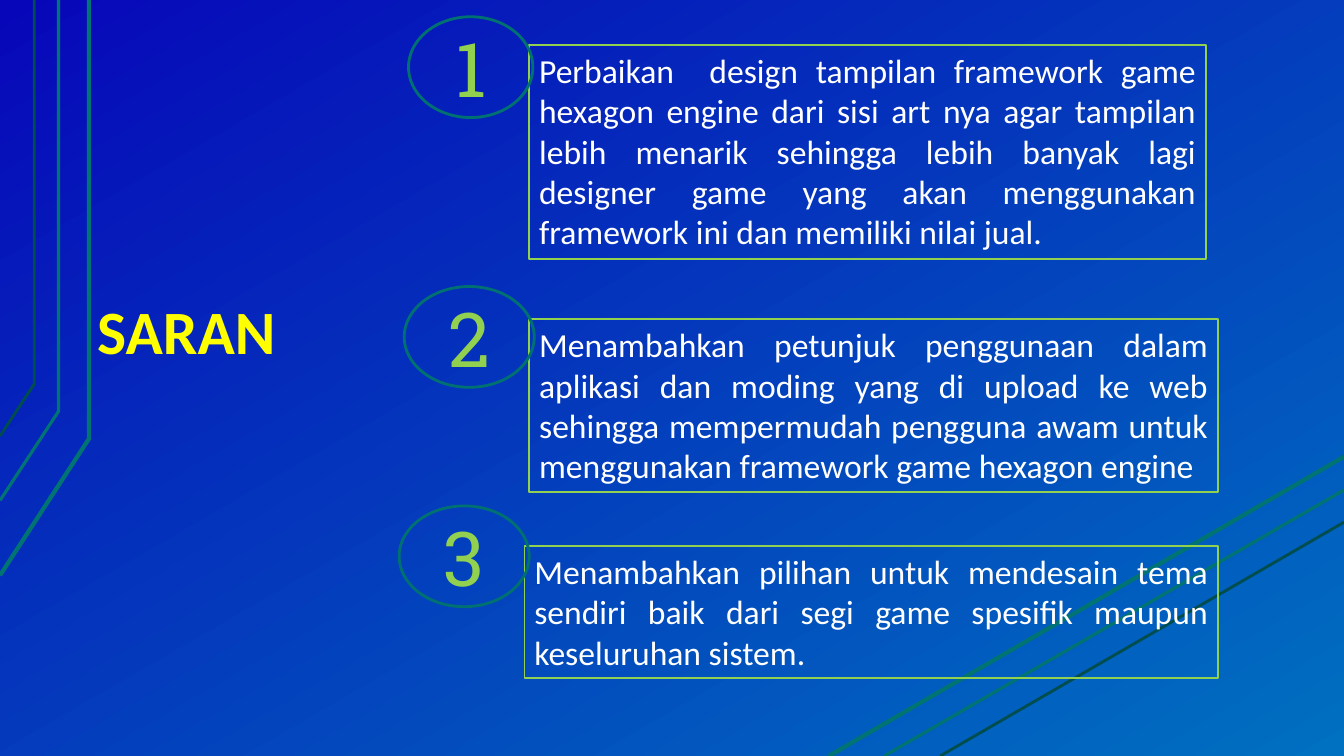
from lxml import etree
from pptx import Presentation
from pptx.dml.color import RGBColor
from pptx.enum.shapes import MSO_CONNECTOR, MSO_SHAPE
from pptx.enum.text import MSO_ANCHOR, MSO_AUTO_SIZE, PP_ALIGN
from pptx.oxml.ns import qn
from pptx.util import Pt

COLORS = {
    "sky": "0707B9", "sea": "0070C0", "teal": "007373", "dark teal": "004D4D",
    "ring": "007171", "green": "92D050", "title": "FFFF00", "text": "FFFFFF",
}
TITLE = "SARAN"
TITLE_AREA = (59.8, 183.6, 156.2, 84.2)

# Each suggestion: text, its box, its ring (left, top, width, height)
SUGGESTIONS = [
    ("Perbaikan  design tampilan framework game hexagon engine dari sisi art nya "
     "agar tampilan lebih menarik sehingga lebih banyak lagi designer game yang "
     "akan menggunakan framework ini dan memiliki nilai jual.",
     (378, 32.2, 483.4, 152.6), (291.8, 12, 88.8, 72)),
    ("Menambahkan petunjuk penggunaan dalam aplikasi dan moding yang di upload ke "
     "web sehingga mempermudah pengguna awam untuk menggunakan framework game "
     "hexagon engine",
     (378, 228, 492, 123.6), (288.7, 204.7, 92.9, 72)),
    ("Menambahkan pilihan untuk mendesain tema sendiri baik dari segi game spesifik "
     "maupun keseluruhan sistem.",
     (374.6, 390, 495.4, 94.4), (285.1, 361.4, 92.9, 72)),
]

# Each stripe: colour, line width, bent path at left, straight line at lower right
STRIPES = [
    ("teal", 3, [(0, 411), (63.5, 313.5), (63.5, 0)], (592, 540, 960, 326.2)),
    ("teal", 2.25, [(0, 357.5), (41.8, 293.8), (41.8, 0)], (631.5, 540, 960, 350)),
    ("dark teal", 2, [(0, 311.5), (24.5, 274.3), (24.5, 0)], (671.5, 540, 960, 373)),
]


def points(values):
    return [Pt(value) for value in values]


def color(name):
    return RGBColor.from_string(COLORS[name])


def set_line(shape, name, width):
    shape.line.color.rgb = color(name)
    shape.line.width = Pt(width)


def write(shape, text, align, anchor, font):
    frame = shape.text_frame
    frame.text = text
    frame.word_wrap = True
    frame.auto_size = MSO_AUTO_SIZE.NONE
    frame.vertical_anchor = anchor
    para = frame.paragraphs[0]
    para.alignment = align
    span = para.runs[0]
    for key, value in font.items():
        if key == "color":
            span.font.color.rgb = color(value)
        else:
            setattr(span.font, key, value)
    return para


def add_outline(page, kind, area, name, width):
    shape = page.shapes.add_shape(kind, *points(area))
    shape.shadow.inherit = False
    shape.fill.background()
    set_line(shape, name, width)
    return shape


def paint_background(page):
    fill = page.background.fill
    fill.gradient()
    fill.gradient_angle = 300
    for stop, name in zip(fill.gradient_stops, ("sky", "sea")):
        stop.color.rgb = color(name)


def add_stripe(page, name, width, bend, ends):
    start, *rest = [tuple(points(corner)) for corner in bend]
    builder = page.shapes.build_freeform(*start)
    builder.add_line_segments(rest, close=False)
    bent = builder.convert_to_shape()
    bent.shadow.inherit = False
    bent.fill.background()
    set_line(bent, name, width)
    straight = page.shapes.add_connector(MSO_CONNECTOR.STRAIGHT, *points(ends))
    set_line(straight, name, width)
    etree.SubElement(straight._element.spPr, qn("a:effectLst"))


def add_title(page):
    title = page.shapes.title
    title.left, title.top, title.width, title.height = points(TITLE_AREA)
    para = write(title, TITLE, PP_ALIGN.LEFT, MSO_ANCHOR.BOTTOM,
                 {"name": "Calibri", "size": Pt(44), "bold": True, "color": "title"})
    para.line_spacing = 0.9
    frame = title.text_frame
    frame.margin_left = frame.margin_right = Pt(9.6)
    frame.margin_top = frame.margin_bottom = Pt(4.8)


def main():
    deck = Presentation()
    deck.slide_width, deck.slide_height = Pt(960), Pt(540)
    page = deck.slides.add_slide(deck.slide_layouts[5])
    paint_background(page)
    for stripe in STRIPES:
        add_stripe(page, *stripe)
    add_title(page)
    for text, area, _ in SUGGESTIONS:
        box = add_outline(page, MSO_SHAPE.RECTANGLE, area, "green", 1.25)
        write(box, text, PP_ALIGN.JUSTIFY, MSO_ANCHOR.TOP,
              {"name": "Calibri", "size": Pt(24), "color": "text"})
    for number, (_, _, area) in enumerate(SUGGESTIONS, 1):
        ring = add_outline(page, MSO_SHAPE.OVAL, area, "ring", 2)
        write(ring, str(number), PP_ALIGN.CENTER, MSO_ANCHOR.MIDDLE,
              {"name": "Roboto Slab", "size": Pt(54), "color": "green"})
    deck.save("out.pptx")


if __name__ == "__main__":
    main()
